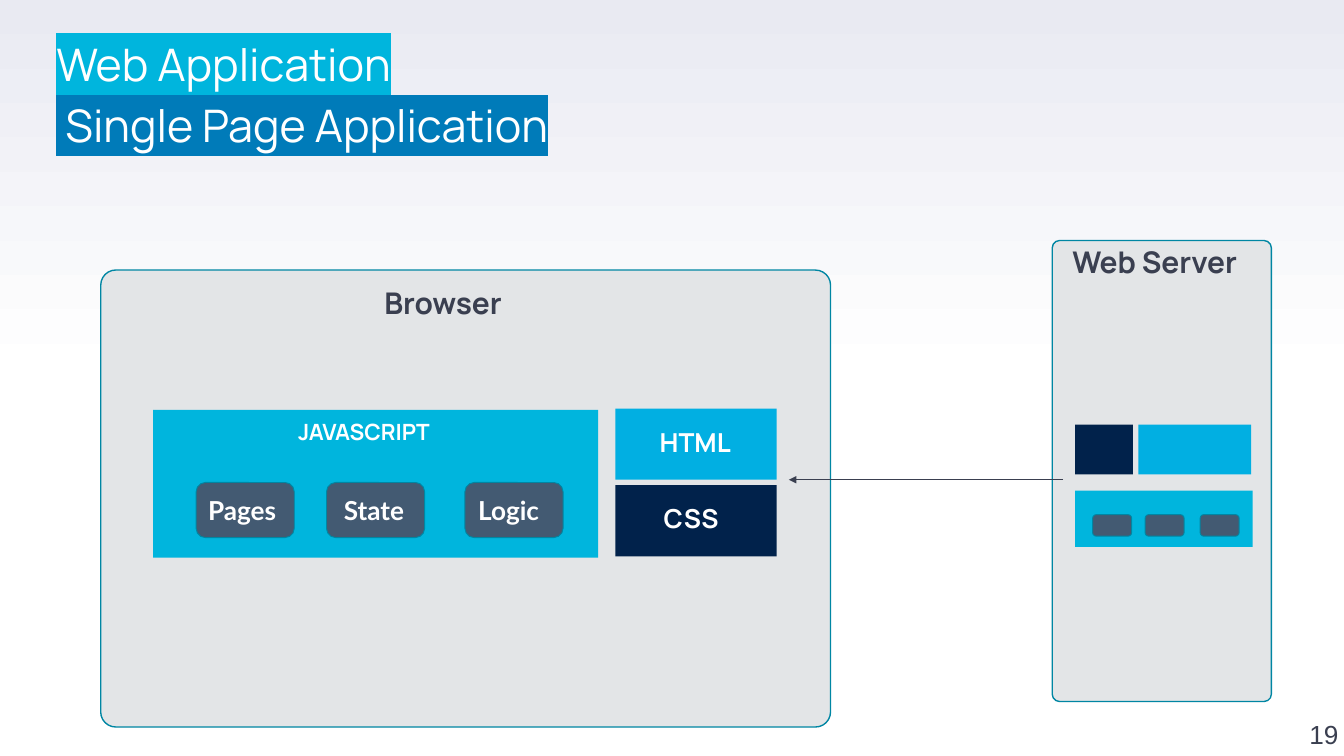
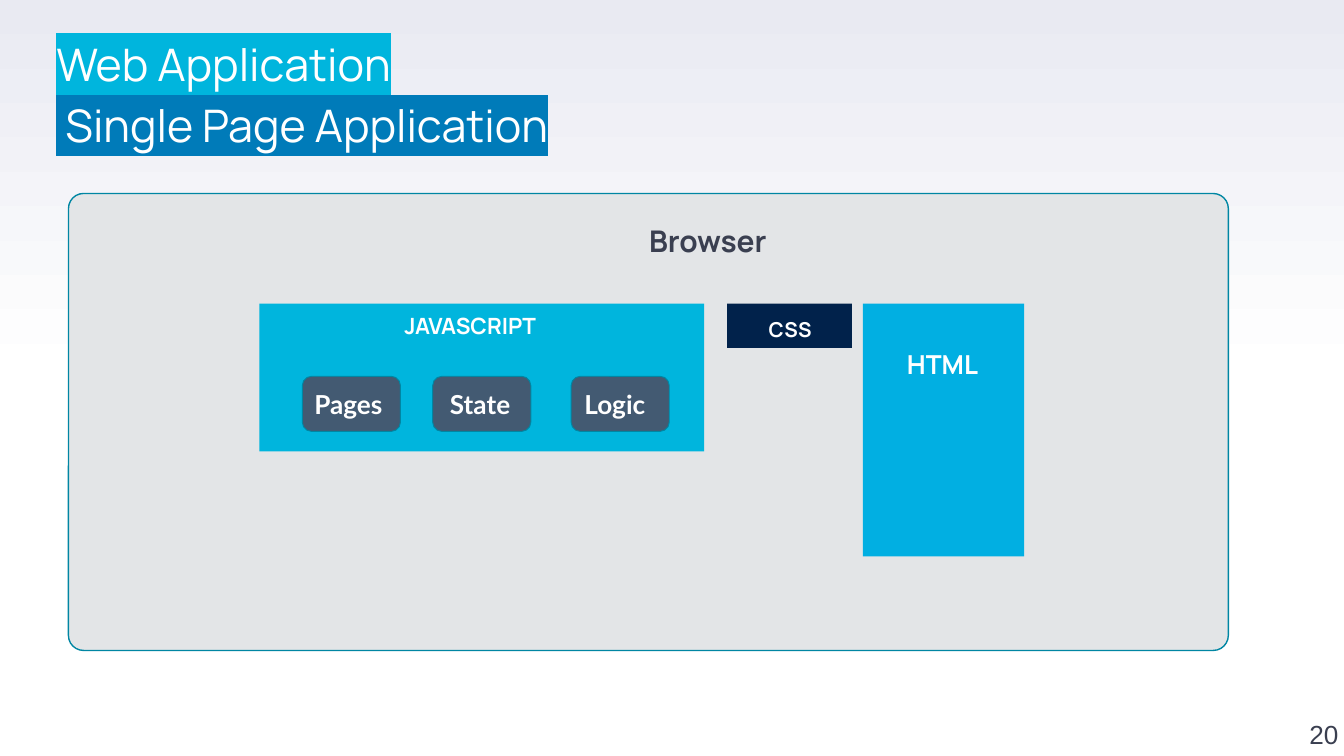
from lxml.etree import SubElement
from pptx import Presentation
from pptx.dml.color import RGBColor
from pptx.enum.shapes import MSO_CONNECTOR, MSO_SHAPE
from pptx.enum.text import MSO_ANCHOR, MSO_AUTO_SIZE, PP_ALIGN
from pptx.oxml.ns import qn
from pptx.util import Inches, Pt

COLORS = {
    "white": "FFFFFF", "mist": "E9EAF2", "panel": "E3E5E7", "edge": "0086A3",
    "ink": "3A3F50", "cyan": "00B5DD", "blue": "007BB9", "sky": "01AFE2",
    "navy": "01224B", "slate": "435A72",
}
TITLE = [("Web Application", "cyan"), (" Single Page Application", "blue")]
TITLE_FONT = {"name": "Manrope", "size": Pt(24)}
HEADING_FONT = {"name": "Manrope", "size": Pt(16), "bold": True}
CHIP_FONT = {"name": "Lato", "size": Pt(14), "bold": True}
NUMBER_FONT = {"name": "Arial", "size": Pt(14)}
ARROWHEAD = {"type": "triangle", "w": "sm", "len": "sm"}

# Chip label, chip x and label x, from the left of the JavaScript block
CHIPS = [("State", 1.29, 1.32), ("Logic", 2.32, 2.32), ("Pages", 0.32, 0.31)]
SERVER_CHIPS_X = [8.52, 8.93, 8.13]

# Blocks: label, box, fill, label box, label size
SLIDES = [
    {
        "number": 19,
        "panels": [(7.83, 1.79, 1.63, 3.43), (0.75, 2.01, 5.43, 3.4)],
        "headings": [("Browser", (2.24, 2.09, 1.67, 0.29)),
                     ("Web Server", (7.36, 1.79, 2.03, 0.29))],
        "arrow": (7.91, 3.57, 5.87, 3.57),
        "javascript": (1.14, 3.05),
        "blocks": [
            ("HTML", (4.58, 3.04, 1.2, 0.53), "sky", (4.81, 3.12, 0.82, 0.34), 14),
            ("CSS", (4.58, 3.61, 1.2, 0.53), "navy", (4.84, 3.69, 0.82, 0.34), 14),
        ],
        "server_bundle": (8, 3.65, 1.32, 0.42),
        "server_files": [((8.47, 3.16, 0.84, 0.37), "sky"),
                         ((8, 3.16, 0.43, 0.37), "navy")],
    },
    {
        "number": 20,
        "panels": [(0.51, 1.44, 8.63, 3.4)],
        "headings": [("Browser", (4.21, 1.63, 1.67, 0.29))],
        "javascript": (1.93, 2.26),
        "blocks": [
            ("HTML", (6.42, 2.26, 1.2, 1.88), "sky", (6.65, 2.54, 0.82, 1.2), 14),
            ("CSS", (5.41, 2.26, 0.93, 0.33), "navy", (5.62, 2.31, 0.63, 0.29), 11),
        ],
    },
]


def rgb(color):
    return RGBColor.from_string(COLORS[color])


def inches(values):
    return [Inches(v) for v in values]


def add_box(shapes, box, fill, line_width=None, rounded=False, radius=None):
    kind = MSO_SHAPE.ROUNDED_RECTANGLE if rounded else MSO_SHAPE.RECTANGLE
    sp = shapes.add_shape(kind, *inches(box))
    sp.shadow.inherit = False
    sp.fill.solid()
    sp.fill.fore_color.rgb = rgb(fill)
    if line_width:
        sp.line.color.rgb = rgb("edge")
        sp.line.width = Pt(line_width)
    else:
        sp.line.fill.background()
    if radius:
        sp.adjustments[0] = radius
    return sp


def add_chip(shapes, box):
    return add_box(shapes, box, "slate", 0.5, rounded=True)


def add_run(p, text, font, color):
    r = p.add_run()
    r.text = text
    for name, value in font.items():
        setattr(r.font, name, value)
    r.font.color.rgb = rgb(color)
    return r


def add_frame(shapes, box, margin_left=0):
    """Add a wrapping text box whose other margins are zero."""
    tf = shapes.add_textbox(*inches(box)).text_frame
    tf.word_wrap = True
    tf.margin_left = Inches(margin_left)
    tf.margin_top = tf.margin_right = tf.margin_bottom = 0
    return tf


def add_label(shapes, text, box, font):
    """Add a white label with standard margins that grows with its text."""
    tf = shapes.add_textbox(*inches(box)).text_frame
    tf.word_wrap = True
    tf.auto_size = MSO_AUTO_SIZE.SHAPE_TO_FIT_TEXT
    add_run(tf.paragraphs[0], text, font, "white")


def label_font(size):
    return {"name": "Manrope", "size": Pt(size), "bold": True}


def highlight(r, color):
    fill = r.font._element.find(qn("a:solidFill"))
    mark = SubElement(r.font._element, qn("a:highlight"))
    SubElement(mark, qn("a:srgbClr")).set("val", COLORS[color])
    fill.addnext(mark)


def add_background(s):
    fill = s.background.fill
    fill.gradient()
    fill.gradient_angle = 90
    for stop, position, color in zip(fill.gradient_stops, (0.5, 1), ("white", "mist")):
        stop.position = position
        stop.color.rgb = rgb(color)


def add_title(s):
    tf = add_frame(s.shapes, (0.42, 0.21, 5.69, 0.98))
    for i, (text, color) in enumerate(TITLE):
        p = tf.add_paragraph() if i else tf.paragraphs[0]
        p.line_spacing = 1.15
        highlight(add_run(p, text, TITLE_FONT, "white"), color)


def add_number(s, number):
    tf = add_frame(s.shapes, (9.46, 5.07, 0.5, 0.51))
    tf.vertical_anchor = MSO_ANCHOR.BOTTOM
    p = tf.paragraphs[0]
    p.alignment = PP_ALIGN.RIGHT
    add_run(p, str(number), NUMBER_FONT, "ink")


def add_heading(s, text, box):
    p = add_frame(s.shapes, box, margin_left=0.62).paragraphs[0]
    p.line_spacing = 1.1
    add_run(p, text, HEADING_FONT, "ink")


def add_arrow(s, ends):
    cxn = s.shapes.add_connector(MSO_CONNECTOR.STRAIGHT, *inches(ends))
    cxn.line.color.rgb = rgb("ink")
    cxn.line.width = Pt(0.75)
    props = cxn._element.spPr
    SubElement(props.find(qn("a:ln")), qn("a:tailEnd"), ARROWHEAD)
    SubElement(props, qn("a:effectLst"))


def add_javascript(s, x, y):
    shapes = s.shapes.add_group_shape().shapes
    add_box(shapes, (x, y, 3.31, 1.1), "cyan")
    for text, chip_x, text_x in CHIPS:
        add_chip(shapes, (x + chip_x, y + 0.54, 0.73, 0.41))
        add_label(shapes, text, (x + text_x, y + 0.58, 0.73, 0.34), CHIP_FONT)
    add_label(shapes, "JAVASCRIPT", (x + 0.98, y + 0.01, 1.37, 0.3), label_font(12))


def add_block(s, text, box, fill, text_box, size):
    shapes = s.shapes.add_group_shape().shapes
    add_box(shapes, box, fill)
    add_label(shapes, text, text_box, label_font(size))


def add_server_bundle(s, box):
    shapes = s.shapes.add_group_shape().shapes
    add_box(shapes, box, "cyan")
    for x in SERVER_CHIPS_X:
        add_chip(shapes, (x, 3.83, 0.29, 0.16))


def build_slide(prs, content):
    s = prs.slides.add_slide(prs.slide_layouts[6])
    add_background(s)
    add_number(s, content["number"])
    for box in content["panels"]:
        add_box(s.shapes, box, "panel", 0.75, rounded=True, radius=0.033)
    for heading in content["headings"]:
        add_heading(s, *heading)
    add_title(s)
    if "arrow" in content:
        add_arrow(s, content["arrow"])
    add_javascript(s, *content["javascript"])
    for block in content["blocks"]:
        add_block(s, *block)
    if "server_bundle" in content:
        add_server_bundle(s, content["server_bundle"])
    for box, fill in content.get("server_files", []):
        add_box(s.shapes, box, fill)


def main():
    prs = Presentation()
    prs.slide_width = Inches(10)
    prs.slide_height = Inches(10 * 9 / 16)
    for content in SLIDES:
        build_slide(prs, content)
    prs.save("out.pptx")


if __name__ == "__main__":
    main()
